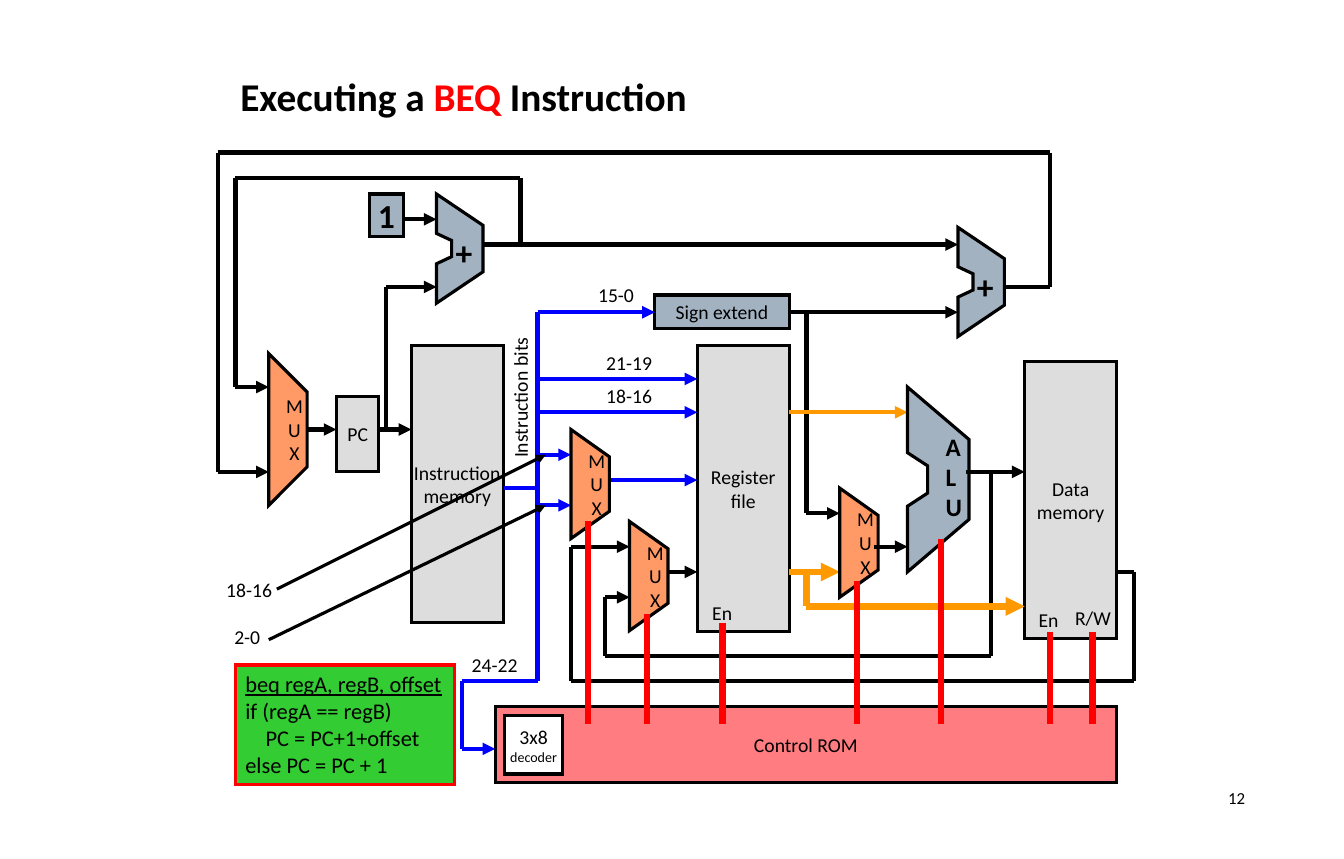
from itertools import pairwise

from lxml.etree import SubElement
from pptx import Presentation
from pptx.dml.color import RGBColor
from pptx.enum.shapes import MSO_CONNECTOR as Connector, MSO_SHAPE as Shape
from pptx.enum.text import MSO_ANCHOR as Anchor, PP_ALIGN as Align
from pptx.oxml.ns import qn
from pptx.util import Pt

PX = 9144
FONT = "Calibri"
BLACK = RGBColor(0x00, 0x00, 0x00)
WHITE = RGBColor(0xFF, 0xFF, 0xFF)
GRAY = RGBColor(0xDD, 0xDD, 0xDD)
STEEL = RGBColor(0xA3, 0xB2, 0xC1)
ORANGE = RGBColor(0xFF, 0x99, 0x66)
AMBER = RGBColor(0xFF, 0x99, 0x00)
PINK = RGBColor(0xFF, 0x7C, 0x80)
GREEN = RGBColor(0x33, 0xCC, 0x33)
BLUE = RGBColor(0x00, 0x00, 0xFF)
RED = RGBColor(0xFF, 0x00, 0x00)

MUX_OUTLINE = [(0, 0), (1, 1 / 4), (1, 3 / 4), (0, 1)]
ALU_OUTLINE = [(0, 0), (1, 4 / 14), (1, 10 / 14), (0, 1),
               (0, 9 / 14), (1 / 3, 8 / 14), (1 / 3, 6 / 14), (0, 5 / 14)]


class Datapath:
    def __init__(self, slide):
        self.slide = slide

    def set_text(self, shape, text, size=14, bold=False, align=Align.CENTER,
                 anchor=Anchor.MIDDLE, wrap=False):
        frame = shape.text_frame
        frame.word_wrap = wrap
        frame.vertical_anchor = anchor
        frame.text = text
        for paragraph in frame.paragraphs:
            paragraph.alignment = align
            font = paragraph.font
            font.name, font.size, font.bold = FONT, Pt(size), bold
            font.color.rgb = BLACK
        return frame

    def paint(self, shape, fill, outline=BLACK):
        shape.shadow.inherit = False
        shape.fill.solid()
        shape.fill.fore_color.rgb = fill
        shape.line.color.rgb = outline
        shape.line.width = Pt(2.25)
        SubElement(shape.line._get_or_add_ln(), qn("a:miter"), lim="800000")

    def box(self, left, top, width, height, text, fill, outline=BLACK, **style):
        shape = self.slide.shapes.add_shape(
            Shape.RECTANGLE, left * PX, top * PX, width * PX, height * PX)
        self.paint(shape, fill, outline)
        return self.set_text(shape, text, **style)

    def label(self, left, top, width, height, text, rotation=0,
              align=Align.LEFT, anchor=Anchor.TOP, **style):
        shape = self.slide.shapes.add_textbox(
            left * PX, top * PX, width * PX, height * PX)
        shape.rotation = rotation
        return self.set_text(shape, text, align=align, anchor=anchor, **style)

    def block(self, left, top, width, height, outline, fill):
        points = [(round(left + x * width), round(top + y * height))
                  for x, y in outline]
        builder = self.slide.shapes.build_freeform(*points[0], scale=PX)
        builder.add_line_segments(points[1:], close=True)
        shape = builder.convert_to_shape()
        self.paint(shape, fill)
        return shape

    def mux(self, left, top, height):
        shape = self.block(left, top, 38, height, MUX_OUTLINE, ORANGE)
        frame = self.set_text(shape, "M\nU\nX")
        frame.margin_left = 13 * PX
        frame.margin_right = frame.margin_top = frame.margin_bottom = 0

    def adder(self, left, top):
        self.block(left, top, 46, 108, ALU_OUTLINE, STEEL)
        self.label(left + 9, top + 33, 37, 50, "+", size=23.9, bold=True)

    def wire(self, *points, color=BLACK, width=3, arrow=True):
        for start, end in pairwise(points):
            connector = self.slide.shapes.add_connector(
                Connector.STRAIGHT, *(value * PX for value in start + end))
            connector.line.color.rgb = color
            connector.line.width = Pt(width)
            if arrow and end == points[-1]:
                SubElement(connector.line._get_or_add_ln(), qn("a:tailEnd"),
                           type="triangle")
            SubElement(connector._element.spPr, qn("a:effectLst"))


def main():
    presentation = Presentation()
    presentation.slide_width = 1330 * PX
    presentation.slide_height = 850 * PX
    slide = presentation.slides.add_slide(presentation.slide_layouts[6])
    datapath = Datapath(slide)

    title = datapath.label(228, 67, 875, 92, "", size=28, bold=True, wrap=True)
    for text, color in [("Executing a ", BLACK), ("BEQ", RED),
                        (" Instruction", BLACK)]:
        run = title.paragraphs[0].add_run()
        run.text = text
        run.font.color.rgb = color
    datapath.label(1020, 774, 222, 59, "12", size=12, align=Align.RIGHT, wrap=True)

    for left, top, width, height, text, fill in [
        (333, 392, 42, 75, "PC", GRAY),
        (407, 342, 91, 274, "Instruction\nmemory", GRAY),
        (690, 342, 91, 283, "Register\nfile", GRAY),
        (1014, 358, 91, 274, "Data\nmemory", GRAY),
        (490, 699, 615, 75, "Control ROM", PINK),
        (648, 292, 133, 33, "Sign extend", STEEL),
    ]:
        datapath.box(left, top, width, height, text, fill)
    datapath.box(366, 192, 33, 42, "1", STEEL, size=23.9, bold=True)
    decoder = datapath.box(499, 708, 58, 58, "3x8\ndecoder", WHITE)
    decoder.paragraphs[1].font.size = Pt(10)

    for points in [
        [(781, 309), (948, 309)],
        [(474, 242), (948, 242)],
        [(515, 242), (515, 176), (233, 176), (233, 383), (266, 383)],
        [(374, 425), (407, 425)],
        [(382, 425), (382, 284), (432, 284)],
        [(989, 284), (1039, 284), (1039, 151), (216, 151), (216, 467), (266, 467)],
        [(299, 425), (333, 425)],
        [(657, 566), (690, 566)],
        [(1106, 566), (1122, 566), (1122, 674), (565, 674), (565, 541), (623, 541)],
        [(981, 467), (981, 649), (599, 649), (599, 591), (623, 591)],
        [(399, 217), (432, 217)],
        [(798, 309), (798, 508), (831, 508)],
    ]:
        datapath.wire(*points)

    datapath.wire((499, 483), (532, 483), color=BLUE, arrow=False)
    datapath.wire((532, 309), (532, 674), (457, 674), (457, 741), (490, 741),
                  color=BLUE)
    for start, end, level in [(532, 648, 309), (532, 690, 375), (532, 690, 408),
                              (532, 565, 450), (532, 565, 500), (599, 690, 475)]:
        datapath.wire((start, level), (end, level), color=BLUE)

    datapath.wire((781, 408), (898, 408), color=AMBER)
    datapath.wire((781, 566), (831, 566), color=AMBER, width=4.5)
    datapath.wire((798, 566), (798, 600), (1014, 600), color=AMBER, width=4.5)

    for left, top, height in [(266, 350, 150), (565, 425, 108),
                              (623, 516, 108), (831, 483, 108)]:
        datapath.mux(left, top, height)
    datapath.adder(432, 192)
    datapath.adder(948, 225)
    datapath.block(898, 383, 61, 183, ALU_OUTLINE, STEEL)
    datapath.label(926, 422, 37, 101, "A\nL\nU", size=17.9, bold=True)
    datapath.wire((956, 467), (1014, 467))
    datapath.wire((865, 541), (898, 541))

    for left, top in [(582, 516), (640, 608), (715, 616), (848, 575),
                      (931, 533), (1039, 625), (1081, 625)]:
        datapath.wire((left, top), (left, 716), color=RED, width=4.5, arrow=False)

    for left, top, width, text in [
        (1054, 595, 56, "R/W"), (1018, 597, 40, "En"), (695, 590, 40, "En"),
        (582, 275, 56, "15-0"), (590, 342, 66, "21-19"), (590, 375, 66, "18-16"),
        (457, 641, 66, "24-22"), (214, 567, 66, "18-16"), (222, 613, 46, "2-0"),
    ]:
        datapath.label(left, top, width, 34, text)
    datapath.label(445, 376, 140, 34, "Instruction bits", rotation=270)
    datapath.wire((274, 583), (540, 450), width=2.25)
    datapath.wire((266, 633), (540, 500), width=2.25)

    code = datapath.box(
        233, 658, 217, 118,
        "beq regA, regB, offset\nif (regA == regB)\nPC = PC+1+offset\nelse PC = PC + 1",
        GREEN, RED, size=16, align=Align.LEFT, anchor=Anchor.TOP)
    code.paragraphs[0].font.underline = True
    code.paragraphs[2]._p.get_or_add_pPr().set("marL", str(20 * PX))

    presentation.save("out.pptx")


if __name__ == "__main__":
    main()
